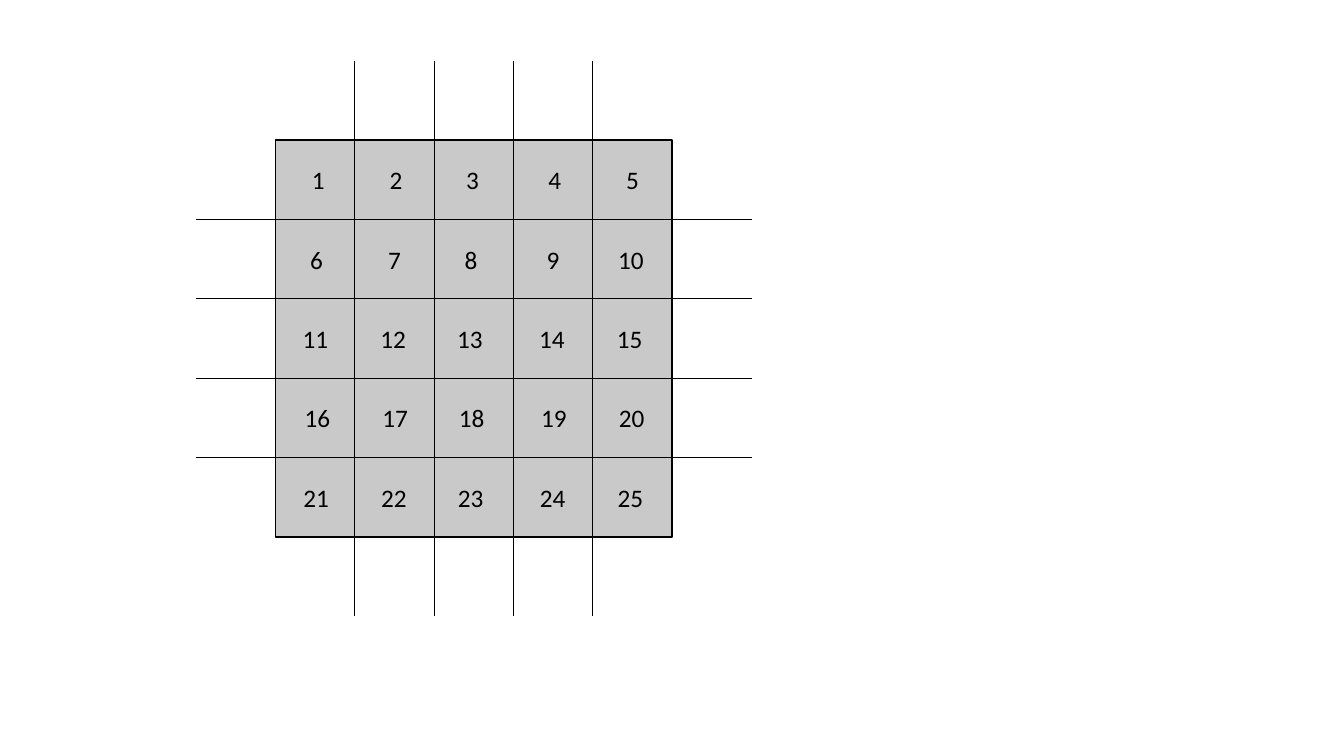
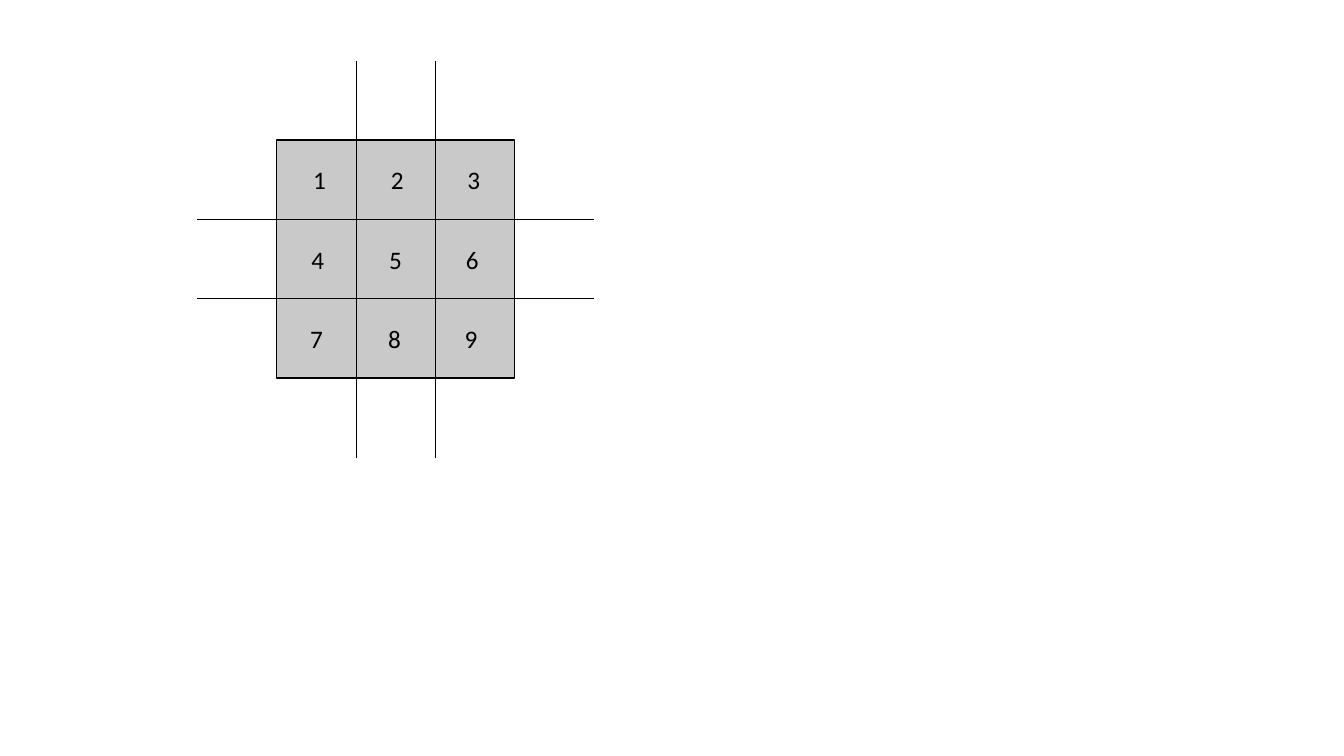
from dataclasses import dataclass

from pptx import Presentation
from pptx import util as u
from pptx.dml.color import RGBColor
from pptx.enum import shapes, text
from pptx.oxml.ns import qn
from lxml import etree


@dataclass(frozen=True)
class Theme:
    ink: RGBColor = RGBColor(0x00, 0x00, 0x00)
    panel: RGBColor = RGBColor(0xC9, 0xC9, 0xC9)
    font: str = "Calibri"
    number_pt: float = 18
    border_pt: float = 1
    grid_pt: float = 0.5


# Grid geometry in centimetres
CELL = 2
TOP = 3.53
LABEL_HEIGHT = 1.03

# Small offsets of the numbers from their cell centres
COLUMN_SHIFT = (0.08, 0.04, -0.03, 0.04, 0)
ROW_SHIFT = (0, -0.04, -0.07, -0.02, -0.05)


class GridDeck:
    def __init__(self, theme):
        self.theme = theme
        self.prs = Presentation()
        self.prs.slide_width = u.Cm(33.87)
        self.prs.slide_height = u.Cm(19.05)
        self.group = None

    def new_slide(self):
        s = self.prs.slides.add_slide(self.prs.slide_layouts[6])
        self.group = s.shapes.add_group_shape().shapes

    def panel(self, x, y, size):
        sp = self.group.add_shape(shapes.MSO_SHAPE.RECTANGLE,
                                  u.Cm(x), u.Cm(y), u.Cm(size), u.Cm(size))
        sp.shadow.inherit = False
        sp.fill.solid()
        sp.fill.fore_color.rgb = self.theme.panel
        sp.line.color.rgb = self.theme.ink
        sp.line.width = u.Pt(self.theme.border_pt)

    def line(self, x1, y1, x2, y2):
        sp = self.group.add_connector(shapes.MSO_CONNECTOR.STRAIGHT,
                                      u.Cm(x1), u.Cm(y1), u.Cm(x2), u.Cm(y2))
        sp.line.color.rgb = self.theme.ink
        sp.line.width = u.Pt(self.theme.grid_pt)
        etree.SubElement(sp.element.spPr, qn("a:effectLst"))

    def number(self, value, x, y):
        sp = self.group.add_textbox(u.Cm(x), u.Cm(y), u.Cm(CELL), u.Cm(LABEL_HEIGHT))
        tf = sp.text_frame
        tf.word_wrap = True
        tf.auto_size = text.MSO_AUTO_SIZE.SHAPE_TO_FIT_TEXT
        tf.vertical_anchor = text.MSO_ANCHOR.MIDDLE
        p = tf.paragraphs[0]
        p.text = str(value)
        p.alignment = text.PP_ALIGN.CENTER
        p.font.name = self.theme.font
        p.font.size = u.Pt(self.theme.number_pt)
        p.font.color.rgb = self.theme.ink

    def number_grid(self, count, left):
        side = count * CELL
        self.panel(left, TOP, side)

        # Dividers reach one cell beyond the panel on each side
        for i in range(1, count):
            y = TOP + i * CELL
            self.line(left - CELL, y, left + side + CELL, y)
        for i in range(1, count):
            x = left + i * CELL
            self.line(x, TOP - CELL, x, TOP + side + CELL)

        # Numbers run row by row
        for i in range(count * count):
            row, column = divmod(i, count)
            x = left + column * CELL + COLUMN_SHIFT[column] + ROW_SHIFT[row]
            y = TOP + row * CELL + (CELL - LABEL_HEIGHT) / 2
            self.number(i + 1, x, y)


def main():
    deck = GridDeck(Theme())
    # One slide per grid: cells per side, left edge
    for count, left in ((5, 6.94), (3, 6.97)):
        deck.new_slide()
        deck.number_grid(count, left)
    deck.prs.save("out.pptx")


if __name__ == "__main__":
    main()
